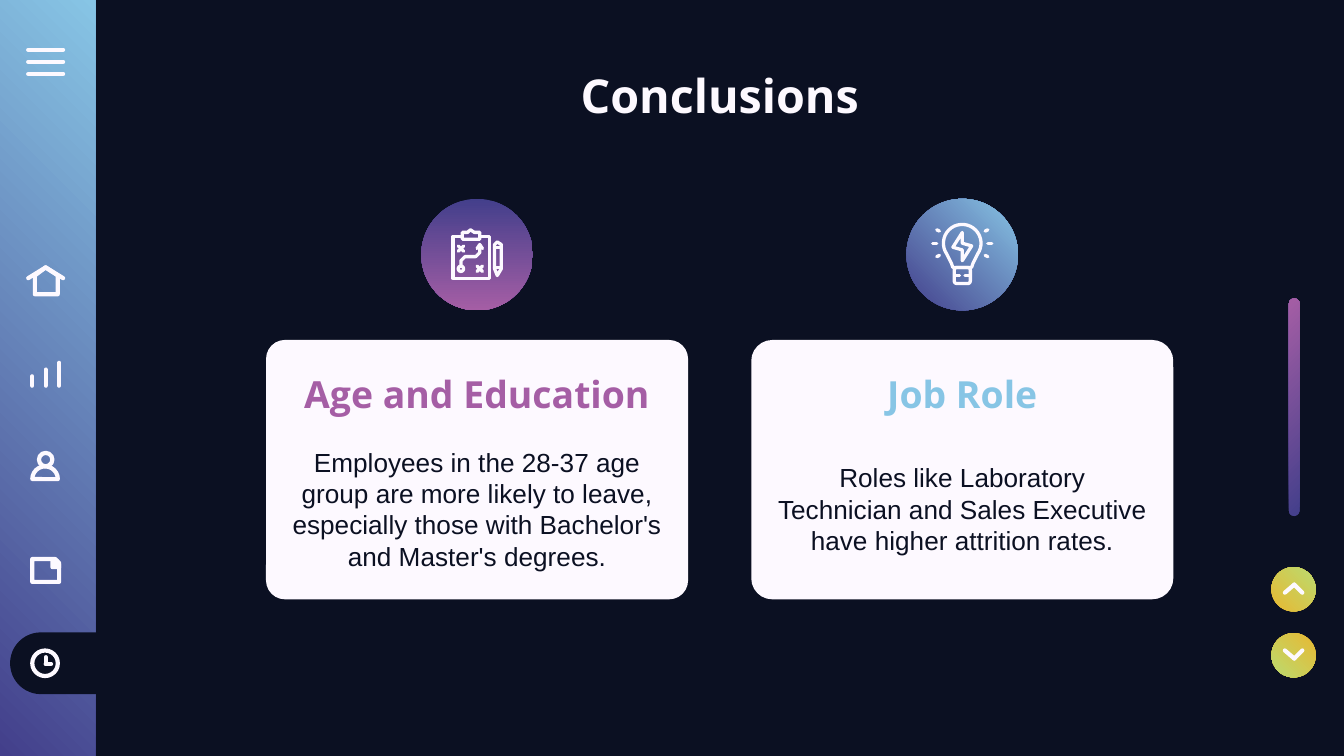
from math import cos, radians, sin

from lxml.etree import SubElement
from pptx import Presentation
from pptx.dml.color import RGBColor
from pptx.enum.shapes import MSO_CONNECTOR, MSO_SHAPE
from pptx.enum.text import MSO_ANCHOR, MSO_AUTO_SIZE, PP_ALIGN
from pptx.oxml.ns import qn
from pptx.util import Inches, Pt

SLIDE_WIDTH = 10
SLIDE_HEIGHT = SLIDE_WIDTH * 9 / 16

NIGHT, WHITE = "0B1022", "FDF9FF"
INDIGO, SKY, PLUM = "433F8B", "87C5E5", "A55EA5"
AMBER, LIME = "E8B832", "BBDB70"

HEADING = "Conclusions"
CARDS = [
    {"title": "Age and Education", "accent": PLUM, "angle": 270,
     "left": 1.98, "corner": 0.073, "title_width": 2.78,
     "body": "Employees in the 28-37 age group are more likely to leave, "
             "especially those with Bachelor's and Master's degrees."},
    {"title": "Job Role", "accent": SKY, "angle": 45,
     "left": 5.59, "corner": 0.081, "title_width": 2.02,
     "body": "Roles like Laboratory Technician and Sales Executive "
             "have higher attrition rates."},
]
CARD_TOP, CARD_WIDTH, CARD_HEIGHT = 2.53, 3.14, 1.93
BADGE_TOP, BADGE_SIZE = 1.48, 0.83

MENU = [((0.21, y), (0.47, y)) for y in (0.37, 0.46, 0.55)]
ROOF = [((x, 2.07), (0.34, 1.99)) for x in (0.21, 0.47)]
BARS = [((0.24 + 0.1 * i, 2.8 - 0.05 * i), (0.24 + 0.1 * i, 2.87)) for i in range(3)]
CLOCK_HANDS = [((0.34, 4.89), (0.34, 4.94)), ((0.38, 4.94), (0.34, 4.94))]
HOUSE = [(0.26, 2.05), (0.26, 2.19), (0.43, 2.19), (0.43, 2.05), (0.34, 1.99)]
NOTE_CORNER = [(0.39, 4.17), (0.42, 4.17), (0.44, 4.2), (0.44, 4.22), (0.39, 4.22)]

SCROLL_BUTTONS = [
    {"top": 4.71, "rotation": 180, "tip": 4.9, "ends": 4.84},
    {"top": 4.22, "rotation": 0, "tip": 4.35, "ends": 4.41},
]

BOARD = [(3.43, 1.76), (3.37, 1.76), (3.37, 2.07), (3.64, 2.07), (3.64, 1.76), (3.58, 1.76)]
CLIP = [(3.44, 1.73), (3.48, 1.73), (3.5, 1.71), (3.53, 1.73),
        (3.57, 1.73), (3.57, 1.78), (3.44, 1.78)]
ROUTE = [(3.43, 1.98), (3.43, 1.94), (3.46, 1.91), (3.54, 1.91), (3.57, 1.88), (3.57, 1.82)]
ROUTE_TIP = [(3.55, 1.85), (3.57, 1.82), (3.59, 1.85)]
PENCIL = [(3.68, 1.82), (3.7, 1.8), (3.73, 1.82), (3.73, 2), (3.7, 2.05), (3.68, 2)]
PENCIL_BANDS = [((3.68, y), (3.73, y)) for y in (1.84, 1.99)]
CROSSES = [((x - 0.02, y - 0.02 * slope), (x + 0.02, y + 0.02 * slope))
           for x, y in ((3.43, 1.85), (3.57, 2)) for slope in (1, -1)]

BULB = [(7.16 + 0.14 * cos(radians(a)), 1.81 + 0.14 * sin(radians(a)))
        for a in range(-215, 36, 10)] + [(7.24, 1.96), (7.23, 1.99), (7.09, 1.99), (7.08, 1.96)]
BOLT = [(7.16, 1.73), (7.09, 1.84), (7.16, 1.86), (7.16, 1.94), (7.23, 1.83), (7.16, 1.81)]
BASE_MARKS = [((x, 2.05), (x + 0.03, 2.05)) for x in (7.11, 7.18)]
RAYS = [((7.16 + side * x1, 1.81 + y1), (7.16 + side * x2, 1.81 + y2))
        for side in (-1, 1)
        for x1, y1, x2, y2 in ((0.19, 0, 0.22, 0), (0.17, -0.09, 0.19, -0.1),
                               (0.17, 0.09, 0.19, 0.1))]


def color(hex_value):
    return RGBColor.from_string(hex_value)


def stroke(shape, weight):
    shape.line.color.rgb = color(WHITE)
    shape.line.width = Pt(weight)
    outline = shape.element.spPr.get_or_add_ln()
    outline.set("cap", "rnd")
    SubElement(outline, qn("a:round"))


def paint(shape, fill, weight):
    shape.shadow.inherit = False
    if fill:
        shape.fill.solid()
        shape.fill.fore_color.rgb = color(fill)
    else:
        shape.fill.background()
    if weight:
        stroke(shape, weight)
    else:
        shape.line.fill.background()


def add_preset(slide, preset, box, fill=None, weight=None, rotation=0, adjustments=()):
    shape = slide.shapes.add_shape(preset, *map(Inches, box))
    shape.rotation = rotation
    for i, value in enumerate(adjustments):
        shape.adjustments[i] = value
    paint(shape, fill, weight)
    return shape


def add_gradient(slide, preset, box, start, end, angle, rotation=0, adjustments=()):
    shape = add_preset(slide, preset, box, rotation=rotation, adjustments=adjustments)
    shape.fill.gradient()
    shape.fill.gradient_angle = angle
    for stop, hex_value in zip(shape.fill.gradient_stops, (start, end)):
        stop.color.rgb = color(hex_value)


def add_lines(slide, segments, weight=2.25):
    for start, end in segments:
        line = slide.shapes.add_connector(MSO_CONNECTOR.STRAIGHT, *map(Inches, start + end))
        stroke(line, weight)
        SubElement(line.element.spPr, qn("a:effectLst"))


def add_outline(slide, points, weight=2.25, fill=None, close=True):
    corners = [(Inches(x), Inches(y)) for x, y in points]
    builder = slide.shapes.build_freeform(*corners[0])
    builder.add_line_segments(corners[1:], close=close)
    paint(builder.convert_to_shape(), fill, weight)


def write(placeholder, box, text, font, size, hex_value, bold=False, side=0.1,
          anchor=MSO_ANCHOR.MIDDLE):
    placeholder.left, placeholder.top, placeholder.width, placeholder.height = map(Inches, box)
    placeholder.element.getparent().append(placeholder.element)
    frame = placeholder.text_frame
    frame.auto_size = MSO_AUTO_SIZE.NONE
    frame.word_wrap = True
    frame.vertical_anchor = anchor
    frame.margin_left = frame.margin_right = Inches(side)
    frame.margin_top = frame.margin_bottom = Inches(0.1)
    paragraph = frame.paragraphs[0]
    properties = paragraph._p.get_or_add_pPr()
    properties.set("marL", "0")
    properties.set("indent", "0")
    SubElement(properties, qn("a:buNone"))
    paragraph.alignment = PP_ALIGN.CENTER
    paragraph.space_before = Pt(0)
    run = paragraph.add_run()
    run.text = text
    run.font.name, run.font.size, run.font.bold = font, Pt(size), bold
    run.font.color.rgb = color(hex_value)


def add_sidebar(slide):
    add_gradient(slide, MSO_SHAPE.RECTANGLE, (0, 0, 0.71, SLIDE_HEIGHT), INDIGO, SKY, 45)
    add_preset(slide, MSO_SHAPE.ROUND_2_SAME_RECTANGLE, (0.21, 4.57, 0.46, 0.73),
               NIGHT, rotation=270, adjustments=(0.5, 0))
    add_lines(slide, MENU + ROOF + BARS + CLOCK_HANDS)
    add_outline(slide, HOUSE)
    add_preset(slide, MSO_SHAPE.OVAL, (0.29, 3.37, 0.1, 0.1), weight=2.25)
    add_preset(slide, MSO_SHAPE.PIE, (0.24, 3.47, 0.19, 0.19), weight=2.25,
               rotation=90, adjustments=(54.33, 162))
    add_preset(slide, MSO_SHAPE.SNIP_1_RECTANGLE, (0.24, 4.16, 0.2, 0.17), weight=2.25)
    add_outline(slide, NOTE_CORNER, fill=WHITE)
    add_preset(slide, MSO_SHAPE.OVAL, (0.24, 4.84, 0.19, 0.19), weight=2.25)


def add_scrollbar(slide):
    add_gradient(slide, MSO_SHAPE.ROUNDED_RECTANGLE, (8.82, 2.99, 1.62, 0.08),
                 INDIGO, PLUM, 225, rotation=90, adjustments=(0.5,))
    for button in SCROLL_BUTTONS:
        add_gradient(slide, MSO_SHAPE.OVAL, (9.46, button["top"], 0.33, 0.33),
                     AMBER, LIME, 45, rotation=button["rotation"])
        add_lines(slide, [((9.63, button["tip"]), (x, button["ends"])) for x in (9.56, 9.69)])


def add_card(slide, card, title, body):
    center = card["left"] + CARD_WIDTH / 2
    add_preset(slide, MSO_SHAPE.ROUNDED_RECTANGLE,
               (card["left"], CARD_TOP, CARD_WIDTH, CARD_HEIGHT), WHITE,
               adjustments=(card["corner"],))
    add_gradient(slide, MSO_SHAPE.OVAL,
                 (center - BADGE_SIZE / 2, BADGE_TOP, BADGE_SIZE, BADGE_SIZE),
                 INDIGO, card["accent"], card["angle"])
    write(title, (center - card["title_width"] / 2, 2.58, card["title_width"], 0.69),
          card["title"], "Open Sans", 20, card["accent"], bold=True)
    write(body, (card["left"], 3.15, CARD_WIDTH, 1.27),
          card["body"], "Arial", 14, NIGHT, side=0.18)


def add_badge_icons(slide):
    for points in (CLIP, PENCIL, BULB, BOLT):
        add_outline(slide, points, 1.75)
    for points in (BOARD, ROUTE, ROUTE_TIP):
        add_outline(slide, points, 1.75, close=False)
    add_preset(slide, MSO_SHAPE.OVAL, (3.41, 1.98, 0.04, 0.04), weight=1.75)
    add_preset(slide, MSO_SHAPE.ROUNDED_RECTANGLE, (7.1, 1.99, 0.12, 0.12), weight=1.75)
    add_lines(slide, CROSSES + PENCIL_BANDS + BASE_MARKS + RAYS, 1.75)


def main():
    deck = Presentation()
    deck.slide_width, deck.slide_height = Inches(SLIDE_WIDTH), Inches(SLIDE_HEIGHT)
    slide = deck.slides.add_slide(deck.slide_layouts.get_by_name("Comparison"))
    slide.background.fill.solid()
    slide.background.fill.fore_color.rgb = color(NIGHT)
    heading, *parts = list(slide.placeholders)
    add_sidebar(slide)
    add_scrollbar(slide)
    write(heading, (0.71, 0.4, 9.29, 0.63), HEADING, "Open Sans", 25, WHITE,
          bold=True, anchor=MSO_ANCHOR.TOP)
    for card, title, body in zip(CARDS, parts[::2], parts[1::2]):
        add_card(slide, card, title, body)
    add_badge_icons(slide)
    deck.save("out.pptx")


if __name__ == "__main__":
    main()
